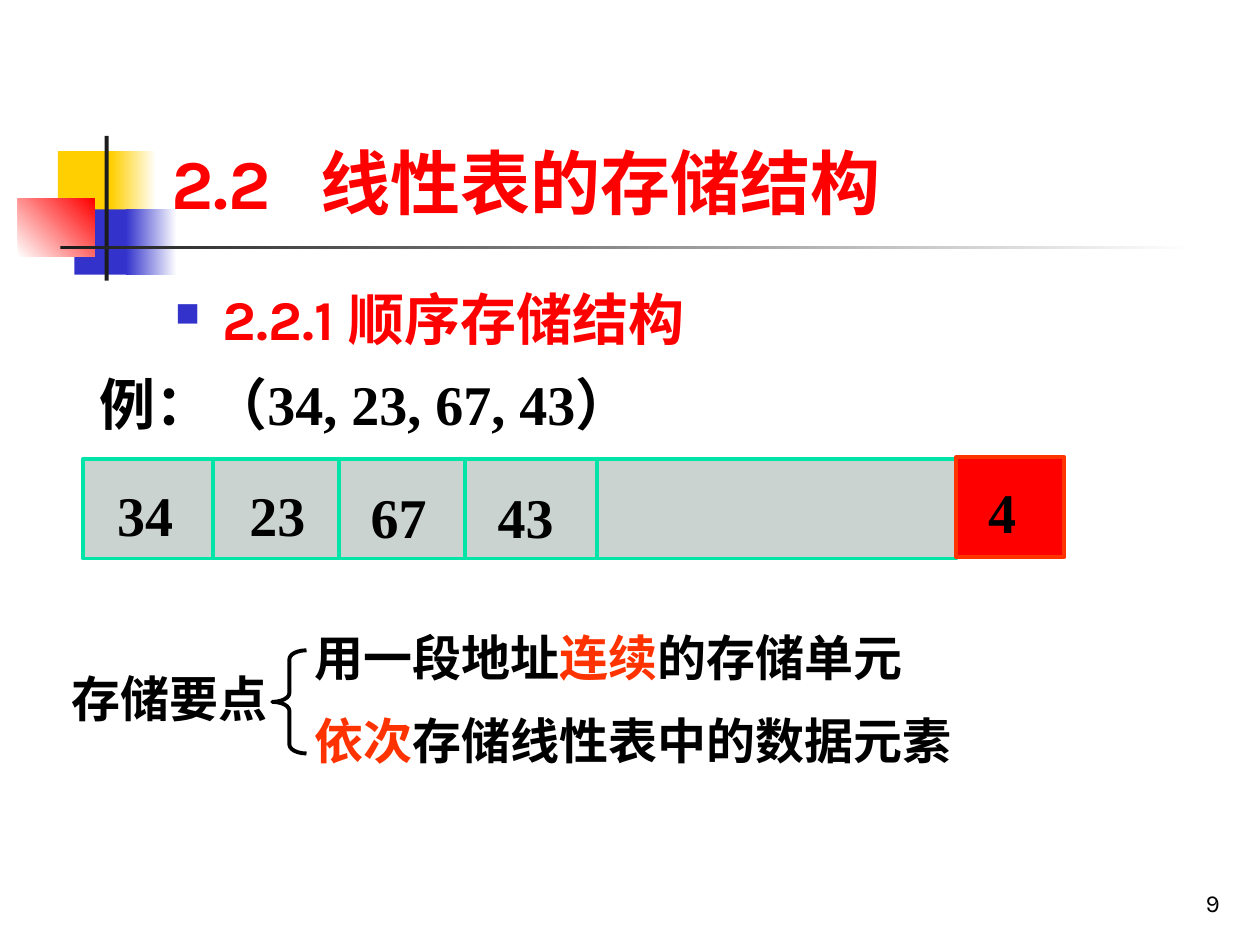
from dataclasses import dataclass
from typing import Any, NamedTuple, Optional

from lxml.etree import SubElement
from pptx import Presentation
from pptx.dml.color import RGBColor
from pptx.enum.shapes import MSO_CONNECTOR, MSO_SHAPE
from pptx.enum.text import MSO_ANCHOR as Anchor, PP_ALIGN as Align
from pptx.oxml import parse_xml
from pptx.oxml.ns import nsdecls, qn
from pptx.util import Cm, Pt

WHITE = RGBColor(0xFF, 0xFF, 0xFF)
BLACK = RGBColor(0, 0, 0)
CHARCOAL = RGBColor(0x1C, 0x1C, 0x1C)
YELLOW = RGBColor(0xFF, 0xCF, 0x01)
BLUE = RGBColor(0x33, 0x33, 0xCC)
RED = RGBColor(0xFF, 0, 0)
ORANGE = RGBColor(0xFF, 0x33, 0)
GREY = RGBColor(0xCB, 0xD3, 0xD1)
GREEN = RGBColor(0, 0xE4, 0xA8)

HEADING = {"name": "Karla", "bold": True}
NUMERAL = {"name": "Times New Roman", "size": Pt(32), "bold": True}
POINT = {"name": "Arial", "size": Pt(28), "bold": True}
STANDARD = {"margin_left": Cm(0.25), "margin_right": Cm(0.25),
            "margin_top": Cm(0.13), "margin_bottom": Cm(0.13),
            "word_wrap": True, "vertical_anchor": Anchor.TOP}
TIGHT = {**STANDARD, "margin_left": 0, "margin_right": 0}

MEMORY_TOP, MEMORY_HEIGHT = 9.25, 2.01


class Box(NamedTuple):
    left: float
    top: float
    width: float
    height: float

    def lengths(self) -> list:
        return [Cm(value) for value in self]


@dataclass
class Ornament:
    box: Box
    start: RGBColor
    end: Optional[RGBColor] = None
    angle: int = 0


@dataclass
class Cell:
    value: str
    left: float
    top: float
    right_edge: float


class Span(NamedTuple):
    text: str
    color: RGBColor = BLACK


ORNAMENTS = [
    Ornament(Box(1.17, 3.05, 1.22, 1.32), YELLOW),
    Ornament(Box(2.24, 3.05, 0.91, 1.32), YELLOW, WHITE),
    Ornament(Box(1.5, 4.22, 1.17, 1.32), BLUE),
    Ornament(Box(2.54, 4.22, 1.02, 1.32), BLUE, WHITE),
    Ornament(Box(0.36, 4.01, 1.55, 1.17), WHITE, RED, 45),
    Ornament(Box(2.11, 2.74, 0.08, 2.92), CHARCOAL),
    Ornament(Box(1.22, 4.95, 22.86, 0.08), CHARCOAL, WHITE),
]
CELLS = [
    Cell("34", 2.36, 9.55, 4.29),
    Cell("23", 5.03, 9.55, 6.83),
    Cell("67", 7.47, 9.6, 9.37),
    Cell("43", 10.03, 9.6, 12.04),
]
KEY_POINTS = [
    [Span("用一段地址"), Span("连续", ORANGE), Span("的存储单元")],
    [Span("依次", ORANGE), Span("存储线性表中的数据元素")],
]


def set_format(target: Any, values: dict) -> None:
    for attribute, value in values.items():
        setattr(target, attribute, value)


def write(paragraph: Any, spans: list, font: dict) -> None:
    for span in spans:
        run = paragraph.add_run()
        run.text = span.text
        set_format(run.font, font)
        run.font.color.rgb = span.color


def add_text(slide: Any, box: Box, spans: list, font: dict,
             frame_format: dict = STANDARD) -> Any:
    frame = slide.shapes.add_textbox(*box.lengths()).text_frame
    set_format(frame, frame_format)
    write(frame.paragraphs[0], spans, font)
    return frame


def add_block(slide: Any, box: Box, fill: Optional[RGBColor] = None,
              outline: Optional[RGBColor] = None, kind: Any = MSO_SHAPE.RECTANGLE) -> Any:
    block = slide.shapes.add_shape(kind, *box.lengths())
    block.shadow.inherit = False
    if fill is None:
        block.fill.background()
    else:
        block.fill.solid()
        block.fill.fore_color.rgb = fill
    if outline is None:
        block.line.fill.background()
    else:
        block.line.color.rgb = outline
        block.line.width = Pt(2.25)
    return block


def add_ornament(slide: Any, ornament: Ornament) -> None:
    block = add_block(slide, ornament.box, ornament.start)
    if ornament.end is not None:
        block.fill.gradient()
        block.fill.gradient_angle = ornament.angle
        for stop, color in zip(block.fill.gradient_stops, (ornament.start, ornament.end)):
            stop.color.rgb = color


def add_cell(slide: Any, cell: Cell) -> None:
    edge = Cm(cell.right_edge)
    separator = slide.shapes.add_connector(
        MSO_CONNECTOR.STRAIGHT, edge, Cm(MEMORY_TOP), edge, Cm(MEMORY_TOP + MEMORY_HEIGHT))
    separator.line.color.rgb = GREEN
    separator.line.width = Pt(2.25)
    SubElement(separator._element.spPr, qn("a:effectLst"))
    add_text(slide, Box(cell.left, cell.top, 1.35, 1.63), [Span(cell.value)], NUMERAL, TIGHT)


def add_title(slide: Any) -> None:
    title = slide.shapes.title
    box = Box(3.2, 0.58, 21.64, 4.06)
    set_format(title, dict(zip(("left", "top", "width", "height"), box.lengths())))
    set_format(title.text_frame, {**STANDARD, "vertical_anchor": Anchor.BOTTOM})
    paragraph = title.text_frame.paragraphs[0]
    paragraph.alignment = Align.LEFT
    properties = paragraph._p.get_or_add_pPr()
    properties.append(parse_xml(
        f'<a:tabLst {nsdecls("a")}><a:tab pos="{Cm(3.02)}" algn="l"/></a:tabLst>'))
    write(paragraph, [Span("2.2\t线性表的存储结构", RED)], {**HEADING, "size": Pt(40)})


def add_section(slide: Any) -> None:
    frame = add_text(slide, Box(3.28, 5.61, 21.59, 1.7),
                     [Span("2.2.1 顺序存储结构", RED)], {**HEADING, "size": Pt(32)})
    properties = frame.paragraphs[0]._p.get_or_add_pPr()
    set_format_xml = {"marL": Cm(0.96), "indent": -Cm(0.96)}
    for attribute, value in set_format_xml.items():
        properties.set(attribute, str(value))
    for bullet in (f'<a:buClr {nsdecls("a")}><a:srgbClr val="{BLUE}"/></a:buClr>',
                   f'<a:buSzPct {nsdecls("a")} val="60000"/>',
                   f'<a:buChar {nsdecls("a")} char="■"/>'):
        properties.append(parse_xml(bullet))


def add_memory(slide: Any) -> None:
    add_block(slide, Box(1.68, MEMORY_TOP, 17.6, MEMORY_HEIGHT), GREY, GREEN)
    for cell in CELLS:
        add_cell(slide, cell)
    length = add_block(slide, Box(19.28, 9.22, 2.18, MEMORY_HEIGHT), RED, ORANGE)
    set_format(length.text_frame, {**STANDARD, "margin_left": Cm(0.64), "margin_top": Cm(0.41)})
    length.text_frame.paragraphs[0].alignment = Align.LEFT
    write(length.text_frame.paragraphs[0], [Span("4")], NUMERAL)


def add_key_points(slide: Any) -> None:
    add_text(slide, Box(1.19, 13.34, 4.45, 1.45), [Span("存储要点")], POINT,
             {**STANDARD, "word_wrap": False})
    brace = add_block(slide, Box(5.49, 13.11, 0.69, 2.08), None, BLACK, MSO_SHAPE.LEFT_BRACE)
    brace.adjustments[0] = 0.26
    first, second = KEY_POINTS
    frame = add_text(slide, Box(6.1, 12.52, 16.28, 3.15), first, POINT)
    paragraph = frame.add_paragraph()
    paragraph.space_before = Pt(14)
    write(paragraph, second, POINT)


def main() -> None:
    deck = Presentation()
    deck.slide_width, deck.slide_height = Cm(25.4), Cm(19.05)
    slide = deck.slides.add_slide(deck.slide_layouts[5])
    for ornament in ORNAMENTS:
        add_ornament(slide, ornament)
    add_title(slide)
    add_section(slide)
    add_text(slide, Box(1.75, 7.32, 13.72, 1.63), [Span("例：（34, 23, 67, 43）")], NUMERAL)
    add_memory(slide)
    add_key_points(slide)
    page = add_text(slide, Box(19.56, 17.35, 5.28, 1.27), [Span("9")],
                    {"name": "Karla", "size": Pt(14)},
                    {**STANDARD, "vertical_anchor": Anchor.BOTTOM})
    page.paragraphs[0].alignment = Align.RIGHT
    deck.save("out.pptx")


if __name__ == "__main__":
    main()
